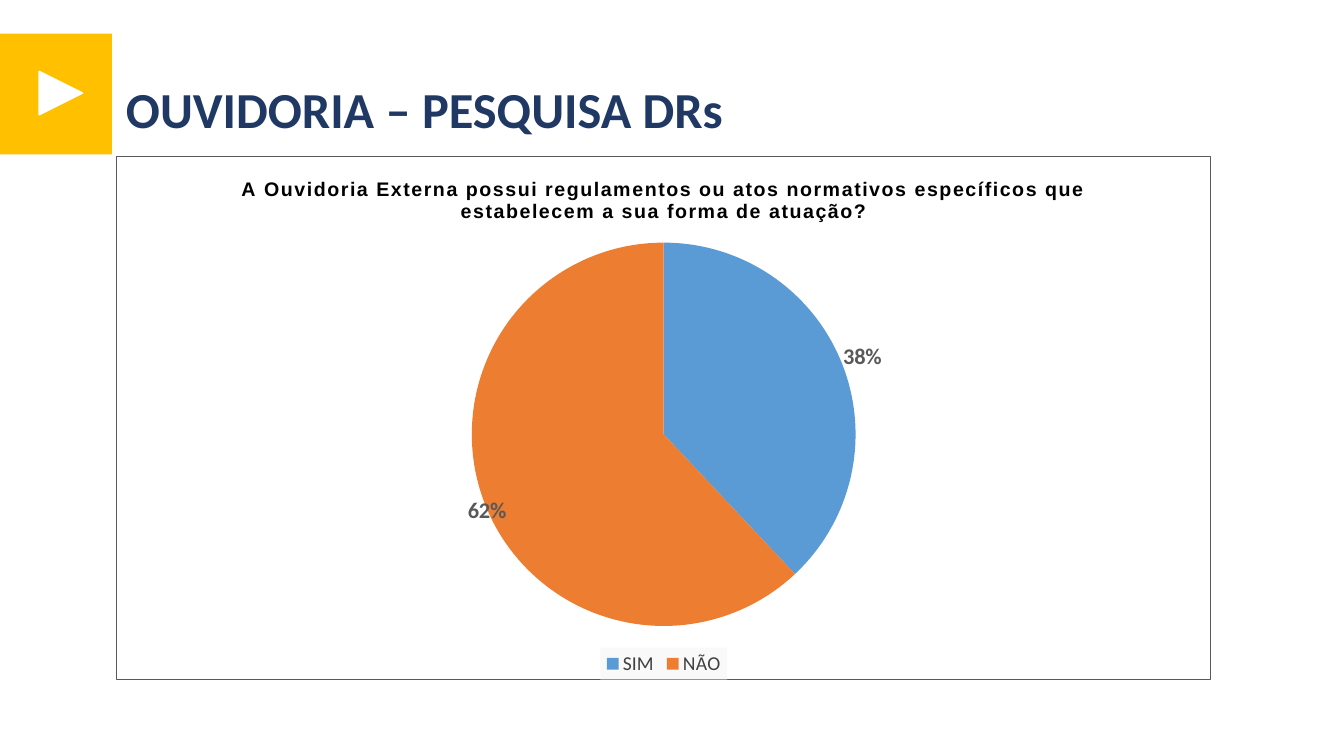
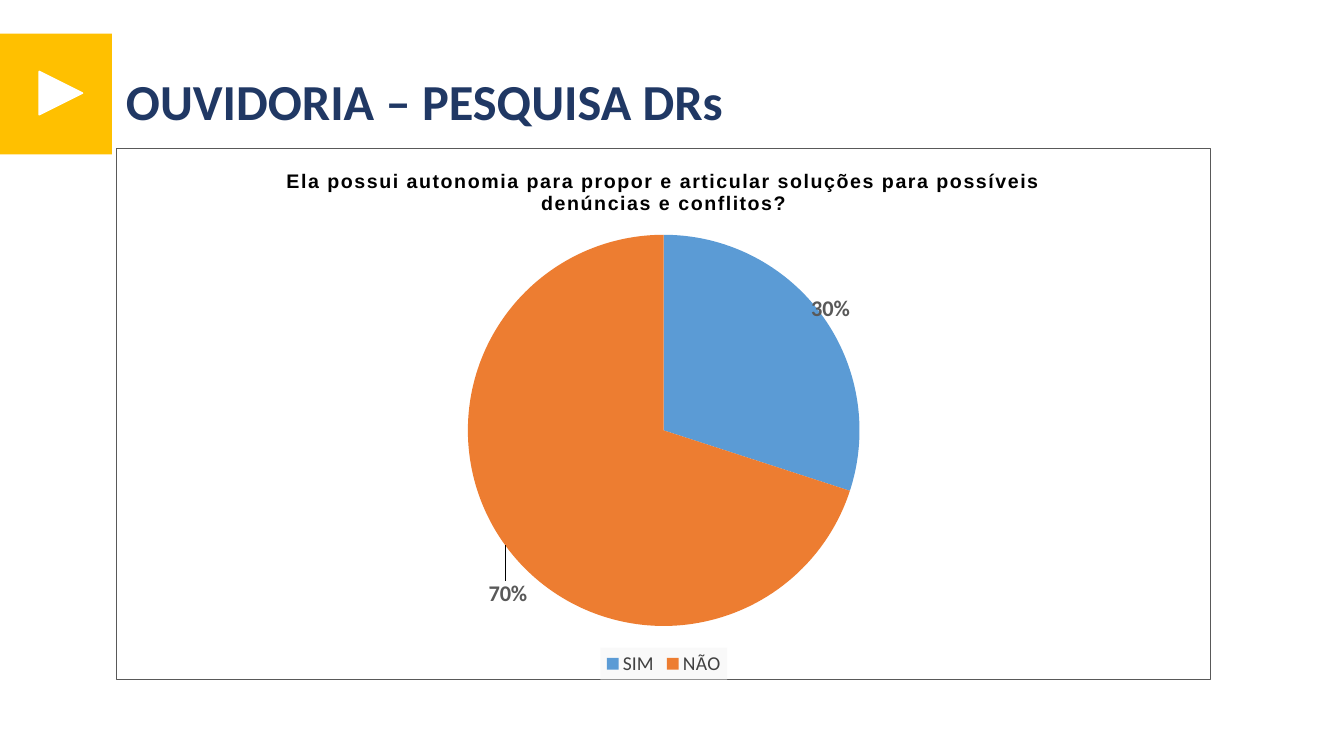
from lxml import etree
from pptx import Presentation
from pptx.chart.data import CategoryChartData
from pptx.dml.color import RGBColor
from pptx.enum.chart import XL_CHART_TYPE, XL_LABEL_POSITION, XL_LEGEND_POSITION
from pptx.enum.shapes import MSO_SHAPE
from pptx.enum.text import MSO_ANCHOR, PP_ALIGN
from pptx.oxml import parse_xml
from pptx.oxml.ns import nsdecls, qn
from pptx.util import Pt

PIE = XL_CHART_TYPE.PIE
CENTER = XL_LABEL_POSITION.CENTER
BOTTOM = XL_LEGEND_POSITION.BOTTOM
RECT, WEDGE = MSO_SHAPE.RECTANGLE, MSO_SHAPE.ISOSCELES_TRIANGLE
MIDDLE, LEFT = MSO_ANCHOR.MIDDLE, PP_ALIGN.LEFT

# Shared style
GOLD, WHITE, BLACK, NAVY = "FFC000", "FFFFFF", "000000", "203864"
GREY, DARK, PALE = "595959", "404040", "F2F2F2"
SLICES = ["5B9BD5", "ED7D31"]
HEAD = {"name": "Calibri", "size": Pt(36), "bold": True, "color": NAVY}
ASK = {"name": "Arial", "size": Pt(14), "bold": True, "color": BLACK}
BASE = {"name": "Calibri", "size": Pt(10), "color": BLACK}
KEY = {"name": "Calibri", "size": Pt(14), "color": DARK}
MARK = {"name": "Calibri", "size": Pt(16), "bold": True, "color": GREY}
SIDE, WIDE, BASELINE = 82.8, 782.6, 486  # chart left, width and bottom
ABOVE, BELOW = 61.5, 38.5  # room in the chart over and under the pie


def rgb(code):
    return RGBColor.from_string(code)


def style(font, look):
    for key, value in look.items():
        if key == "color":
            font.color.rgb = rgb(value)
        else:
            setattr(font, key, value)


def layout(**parts):
    """Manual chart layout; parts are given in schema order."""
    root = parse_xml(f'<c:layout {nsdecls("c")}><c:manualLayout/></c:layout>')
    for key, value in parts.items():
        etree.SubElement(root[0], qn(f"c:{key}")).set("val", str(value))
    return root


def paint(fill, line="<a:ln><a:noFill/></a:ln>", alpha=100):
    """Fill and outline for a chart part."""
    return parse_xml(
        f'<c:spPr {nsdecls("c", "a")}><a:solidFill><a:srgbClr val="{fill}">'
        f'<a:alpha val="{alpha * 1000}"/></a:srgbClr></a:solidFill>{line}</c:spPr>')


class Deck:
    def __init__(self):
        self.prs = Presentation()
        self.prs.slide_width, self.prs.slide_height = Pt(960), Pt(540)
        self.slide = None

    def shape(self, kind, box, fill, turn=0):
        item = self.slide.shapes.add_shape(kind, *map(Pt, box))
        item.shadow.inherit = False
        item.rotation = turn
        item.fill.solid()
        item.fill.fore_color.rgb = rgb(fill)
        item.line.color.rgb = rgb(fill)
        item.line.width = Pt(1)
        return item

    def badge(self):
        self.shape(RECT, (0, 24, 80, 86.4), GOLD).line.fill.background()
        self.shape(WEDGE, (28, 51, 31, 31), WHITE, 90)

    def title(self, text, top):
        item = self.slide.shapes.title
        item.left, item.top, item.width, item.height = map(Pt, (SIDE, top, 677, 39))
        frame = item.text_frame
        frame.text = text
        frame.vertical_anchor = MIDDLE
        para = frame.paragraphs[0]
        para.alignment, para.line_spacing = LEFT, 0.9
        style(para.runs[0].font, HEAD)

    def pie(self, ask, top, values, shifts):
        data = CategoryChartData()
        data.categories = ["SIM", "NÃO"]
        data.add_series("Series 1", values)
        high = BASELINE - top
        box = map(Pt, (SIDE, top, WIDE, high))
        chart = self.slide.shapes.add_chart(PIE, *box, data).chart
        style(chart.font, BASE)

        # Question over the pie, with spaced letters
        chart.has_title = True
        frame = chart.chart_title.text_frame
        frame.text = ask
        run = frame.paragraphs[0].runs[0]
        style(run.font, ASK)
        run.font._element.set("spc", "100")

        # Legend
        chart.has_legend = True
        legend = chart.legend
        legend.position, legend.include_in_layout = BOTTOM, False
        style(legend.font, KEY)
        legend._element.find(qn("c:txPr")).addprevious(paint(PALE, alpha=39))

        # Slices and moved percent labels
        plot = chart.plots[0]
        plot.vary_by_categories = True
        row = plot.series[0]
        for spot, (color, (x, y)) in enumerate(zip(SLICES, shifts)):
            point = row.points[spot]
            point.format.fill.solid()
            point.format.fill.fore_color.rgb = rgb(color)
            label = point.data_label
            label.position = CENTER
            style(label.font, MARK)
        labels = row.data_labels
        labels.show_value, labels.show_percentage = False, True
        labels.position = CENTER
        style(labels.font, MARK)
        for node, (x, y) in zip(labels._element.findall(qn("c:dLbl")), shifts):
            node.find(qn("c:idx")).addnext(layout(x=x, y=y))
            node.find(qn("c:showVal")).set("val", "0")
            node.find(qn("c:showPercent")).set("val", "1")

        # Plot place and chart frame
        area = chart._chartSpace.chart.plotArea
        for old in area.findall(qn("c:layout")):
            area.remove(old)
        area.insert(0, layout(
            layoutTarget="inner", xMode="edge", yMode="edge", x=0.3,
            y=ABOVE / high, w=0.4, h=(high - ABOVE - BELOW) / high))
        edge = (f'<a:ln w="{Pt(0.75)}"><a:solidFill><a:srgbClr val="{GREY}"/>'
                '</a:solidFill></a:ln>')
        chart._chartSpace.chart.addnext(paint(WHITE, edge))

    def page(self, ask, top, values, shifts):
        self.slide = self.prs.slides.add_slide(self.prs.slide_layouts[5])
        self.badge()
        self.title("OUVIDORIA – PESQUISA DRs", top - 51)
        self.pie(ask, top, values, shifts)


def main():
    deck = Deck()
    deck.page("A Ouvidoria Externa possui regulamentos ou atos normativos "
              "específicos que estabelecem a sua forma de atuação?",
              111.6, (38, 62), [(0.1, -0.08), (-0.08, 0.08)])
    deck.page("Ela possui autonomia para propor e articular soluções para "
              "possíveis denúncias e conflitos?",
              106, (30, 70), [(0.08, -0.12), (-0.07, 0.2)])
    deck.prs.save("out.pptx")


if __name__ == "__main__":
    main()
